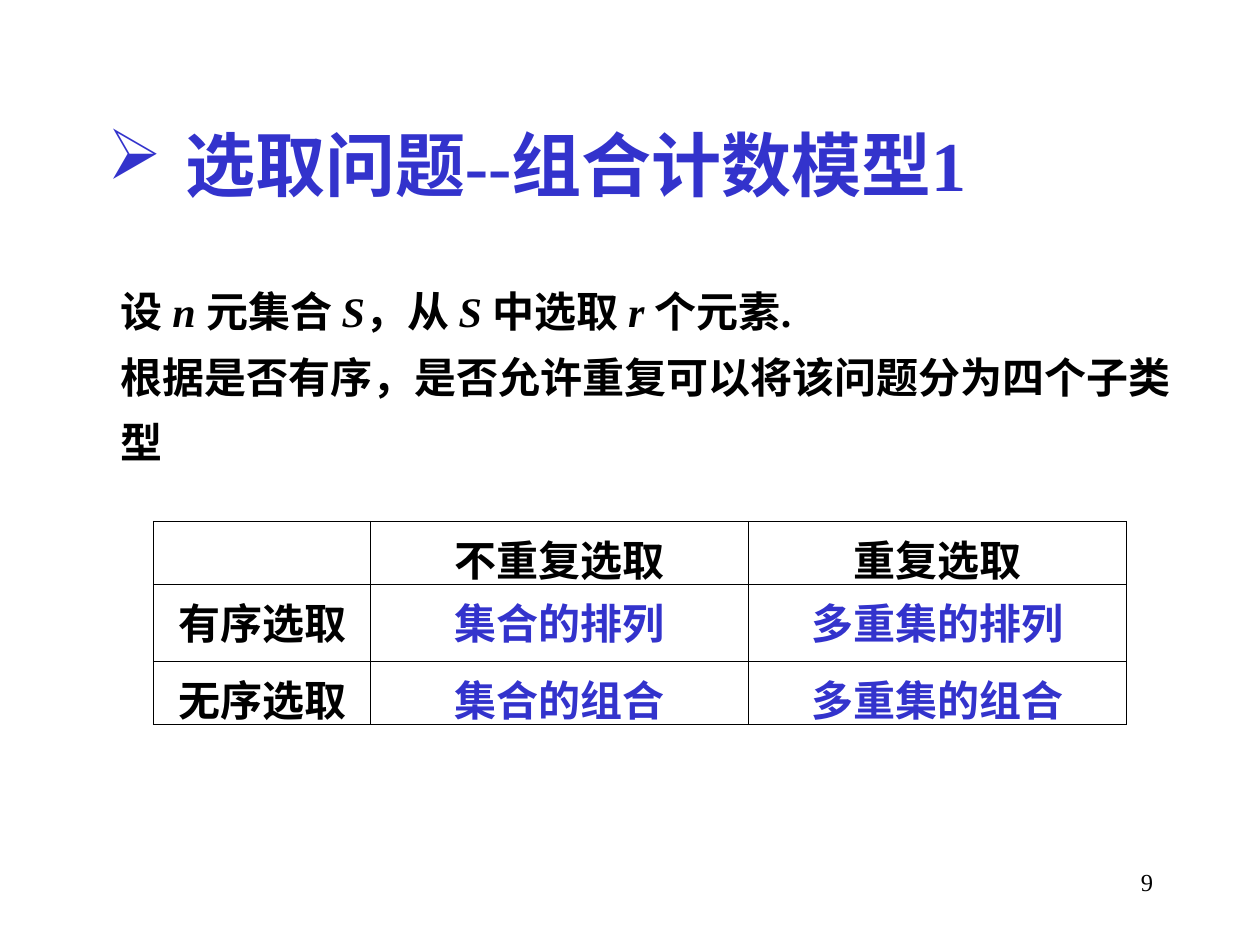
"""Build the slide on selection problems and their four subtypes."""
import pptx
import pptx.dml.color
import pptx.enum.text
import pptx.oxml
import pptx.oxml.ns
import pptx.util

Inches = pptx.util.Inches
Pt = pptx.util.Pt
RGBColor = pptx.dml.color.RGBColor
ALIGN = pptx.enum.text.PP_ALIGN
FIT = pptx.enum.text.MSO_AUTO_SIZE

BLUE = RGBColor(0x33, 0x33, 0xCC)
BLACK = RGBColor(0, 0, 0)
WHITE = RGBColor(0xFF, 0xFF, 0xFF)
FONT = "Times New Roman"

TITLE = "选取问题--组合计数模型1"
BODY = [
    [("设 ", False), ("n ", True), ("元集合 ", False), ("S", True), ("，从 ", False),
     ("S ", True), ("中选取 ", False), ("r ", True), ("个元素.", False)],
    [("根据是否有序，是否允许重复可以将该问题分为四个子类型", False)],
]
CELLS = [
    ["", "不重复选取", "重复选取"],
    ["有序选取", "集合的排列", "多重集的排列"],
    ["无序选取", "集合的组合", "多重集的组合"],
]
PAGE = "9"
TITLE_BOX = (0.75, 0.67, 8.5, 1.25)
BODY_BOX = (0.86, 2.1, 8.55, 1.66)
PAGE_BOX = (7.17, 6.83, 2.08, 0.5)
TABLE_ORIGIN = (1.22, 4.14)
COLUMNS = [1.72, 3, 3]
ROWS = [0.5, 0.61, 0.5]
HANGING = 0.62


def inches(lengths):
    return [Inches(length) for length in lengths]


def style(run, size, color=BLACK, bold=True, italic=False):
    font = run.font
    font.name, font.size, font.bold, font.italic = FONT, Pt(size), bold, italic
    font.color.rgb = color


def add_child(parent, tag, position=None, **attributes):
    child = pptx.oxml.parse_xml(f"<a:{tag} {pptx.oxml.ns.nsdecls('a')}/>")
    for name, value in attributes.items():
        child.set(name, str(value))
    parent.insert(len(parent) if position is None else position, child)
    return child


def add_title(slide):
    title = slide.shapes.title
    title.left, title.top, title.width, title.height = inches(TITLE_BOX)
    frame = title.text_frame
    frame.text = TITLE
    frame.auto_size = FIT.NONE
    frame.vertical_anchor = pptx.enum.text.MSO_ANCHOR.MIDDLE
    paragraph = frame.paragraphs[0]
    paragraph.alignment = ALIGN.LEFT
    style(paragraph.runs[0], 40, BLUE)
    properties = paragraph._p.get_or_add_pPr()
    properties.set("marL", str(Inches(HANGING)))
    properties.set("indent", str(-Inches(HANGING)))
    add_child(properties, "buChar", char="➢")


def add_text_box(slide, box):
    frame = slide.shapes.add_textbox(*inches(box)).text_frame
    frame.word_wrap = True
    return frame


def add_body(slide):
    frame = add_text_box(slide, BODY_BOX)
    frame.auto_size = FIT.SHAPE_TO_FIT_TEXT
    for index, parts in enumerate(BODY):
        paragraph = frame.add_paragraph() if index else frame.paragraphs[0]
        paragraph.line_spacing = 1.3
        for text, italic in parts:
            run = paragraph.add_run()
            run.text = text
            style(run, 24, italic=italic)


def add_borders(cell):
    properties = cell._tc.get_or_add_tcPr()
    for position, side in enumerate(("lnL", "lnR", "lnT", "lnB")):
        line = add_child(properties, side, position, w=Pt(1))
        add_child(add_child(line, "solidFill"), "srgbClr", val=BLACK)


def add_table(slide):
    size = (sum(COLUMNS), sum(ROWS))
    table = slide.shapes.add_table(
        len(ROWS), len(COLUMNS), *inches(TABLE_ORIGIN + size)).table
    table.first_row = table.horz_banding = False
    for column, width in zip(table.columns, inches(COLUMNS)):
        column.width = width
    for row, height in zip(table.rows, inches(ROWS)):
        row.height = height
    for row_index, texts in enumerate(CELLS):
        for column_index, text in enumerate(texts):
            cell = table.cell(row_index, column_index)
            cell.text = text
            cell.fill.solid()
            cell.fill.fore_color.rgb = WHITE
            color = cell._tc.tcPr.find(".//" + pptx.oxml.ns.qn("a:srgbClr"))
            add_child(color, "alpha", val=50000)
            add_borders(cell)
            paragraph = cell.text_frame.paragraphs[0]
            paragraph.alignment = ALIGN.CENTER
            for run in paragraph.runs:
                style(run, 24, BLUE if row_index and column_index else BLACK)


def add_page_number(slide):
    frame = add_text_box(slide, PAGE_BOX)
    frame.text = PAGE
    paragraph = frame.paragraphs[0]
    paragraph.alignment = ALIGN.RIGHT
    style(paragraph.runs[0], 14, bold=False)


def main():
    presentation = pptx.Presentation()
    presentation.slide_width, presentation.slide_height = inches((10, 7.5))
    slide = presentation.slides.add_slide(presentation.slide_layouts[5])
    add_page_number(slide)
    add_title(slide)
    add_body(slide)
    add_table(slide)
    presentation.save("out.pptx")


if __name__ == "__main__":
    main()
